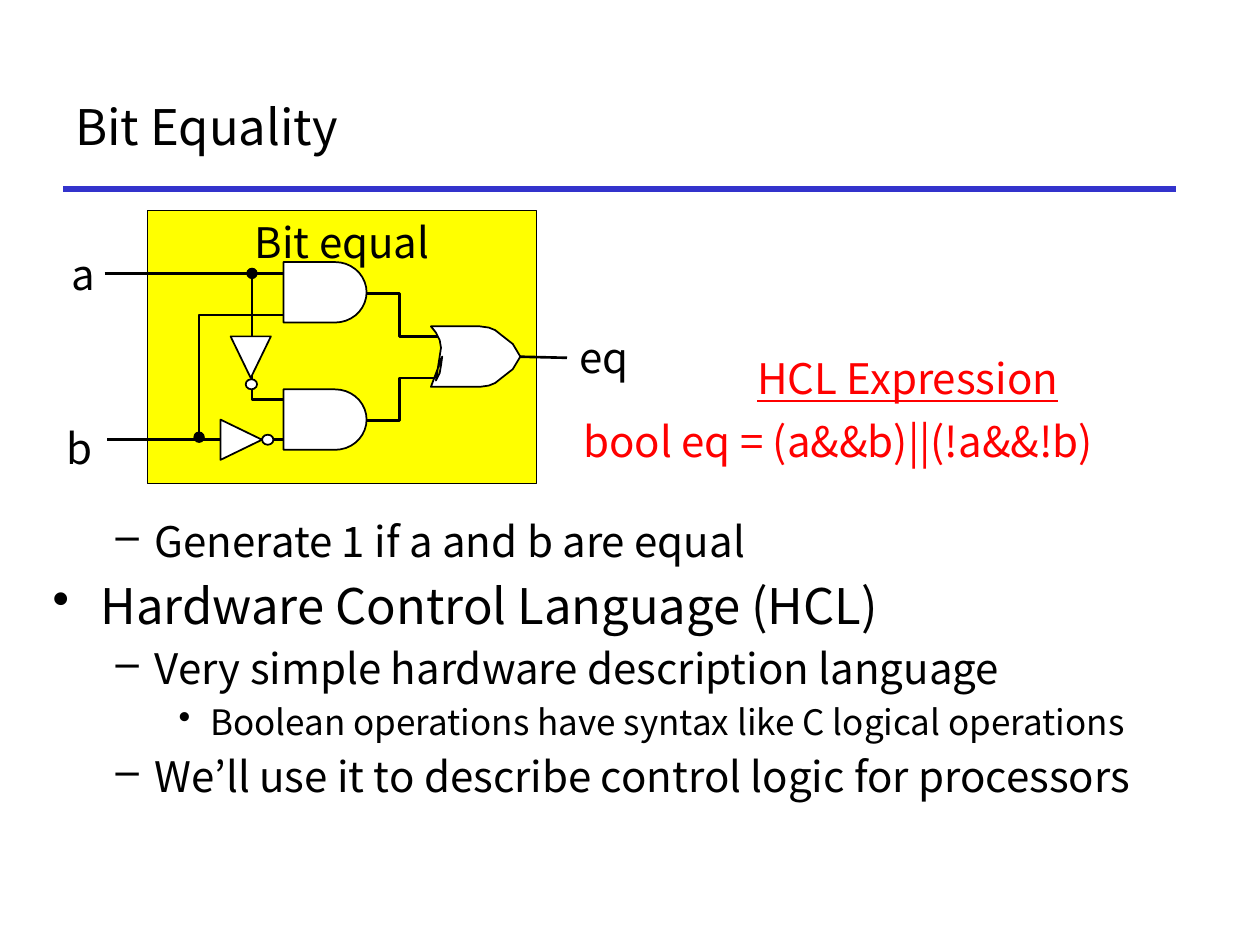
import math
from typing import Any, NamedTuple

import pptx
import pptx.dml.color
import pptx.enum.shapes
import pptx.enum.text
import pptx.oxml
import pptx.oxml.ns
import pptx.util

Inches = pptx.util.Inches
Pt = pptx.util.Pt
Shapes = pptx.enum.shapes.MSO_SHAPE
Align = pptx.enum.text.PP_ALIGN
Anchor = pptx.enum.text.MSO_ANCHOR
AutoSize = pptx.enum.text.MSO_AUTO_SIZE

FONT = "Noto Sans CJK KR"
BLACK, WHITE, YELLOW = "000000", "FFFFFF", "FFFF00"
RED, BLUE = "FF0000", "3333CC"
GATE_HEIGHT = 0.48

Point = tuple[float, float]


class Label(NamedTuple):
    text: str
    left: float
    top: float
    width: float
    color: str = BLACK
    align: Any = Align.LEFT
    inset: float = 0.1
    wrap: bool = False
    underline: bool = False


class Level(NamedTuple):
    margin: float
    hanging: float
    bullet: str
    size: int


class Circle(NamedTuple):
    left: float
    top: float
    width: float
    fill: str
    weight: float


LEVELS = [
    Level(0.38, 0.38, "•", 28),
    Level(0.81, 0.31, "–", 24),
    Level(1.25, 0.25, "•", 20),
]
BODY = [
    (1, "Generate 1 if a and b are equal"),
    (0, "Hardware Control Language (HCL)"),
    (1, "Very simple hardware description language"),
    (2, "Boolean operations have syntax like C logical operations"),
    (1, "We’ll use it to describe control logic for processors"),
]
LABELS = [
    Label("a", 0.47, 1.92, 0.38, align=Align.CENTER),
    Label("b", 0.42, 3.3, 0.41, align=Align.RIGHT),
    Label("eq", 4.5, 2.58, 0.66, wrap=True),
    Label("bool eq = (a&&b)||(!a&&!b)", 4.58, 3.25, 5.3, RED, inset=0.05, wrap=True),
    Label("HCL Expression", 5.96, 2.75, 2.56, RED, inset=0.05, underline=True),
]
WIRES: list[list[Point]] = [
    [(0.83, 2.17), (2.25, 2.17)],
    [(0.85, 3.49), (2.25, 3.49)],
    [(1.58, 3.5), (1.58, 2.5), (2.25, 2.5)],
    [(2, 2.17), (2, 3.17), (2.25, 3.17)],
    [(2.91, 2.33), (3.17, 2.33), (3.17, 2.67), (3.5, 2.67)],
    [(2.91, 3.34), (3.17, 3.34), (3.17, 3), (3.5, 3)],
    [(4.08, 2.83), (4.5, 2.84)],
]
INVERTERS: list[list[Point]] = [
    [(1.83, 2.67), (2.15, 2.67), (1.99, 3)],
    [(1.75, 3.33), (1.75, 3.65), (2.08, 3.49)],
]
CIRCLES = [
    Circle(1.95, 3.01, 0.09, WHITE, 1),
    Circle(2.08, 3.45, 0.09, WHITE, 1),
    Circle(1.96, 2.13, 0.08, BLACK, 0.75),
    Circle(1.54, 3.43, 0.08, BLACK, 0.75),
]
OR_NOSE: list[Point] = [(0, 0), (0.33, 0), (0.39, 0), (0.46, 0.01), (0.51, 0.03),
                        (0.56, 0.07), (0.65, 0.14), (0.71, 0.24)]
OR_BACK: list[Point] = [(0.04, 0.05), (0.07, 0.11), (0.08, 0.17), (0.09, 0.24)]


def rgb(color: str) -> Any:
    return pptx.dml.color.RGBColor.from_string(color)


def apply(target: Any, values: dict[str, Any]) -> None:
    for name, value in values.items():
        setattr(target, name, value)


def outline(shape: Any, weight: float, color: str = BLACK) -> None:
    shape.line.color.rgb = rgb(color)
    shape.line.width = Pt(weight)


def paint(shape: Any, fill: str, weight: float) -> None:
    shape.shadow.inherit = False
    shape.fill.solid()
    shape.fill.fore_color.rgb = rgb(fill)
    outline(shape, weight)


def write(paragraph: Any, text: str, size: int, color: str = BLACK, underline: bool = False) -> None:
    run = paragraph.add_run()
    run.text = text
    apply(run.font, {"name": FONT, "size": Pt(size), "underline": underline or None})
    run.font.color.rgb = rgb(color)


def straight(shapes: Any, start: Point, end: Point, weight: float, color: str = BLACK) -> None:
    ends = [Inches(value) for value in (*start, *end)]
    line = shapes.add_connector(pptx.enum.shapes.MSO_CONNECTOR.STRAIGHT, *ends)
    line._element.spPr.append(pptx.oxml.parse_xml(
        f"<a:effectLst {pptx.oxml.ns.nsdecls('a')}/>"))
    outline(line, weight, color)


def freeform(shapes: Any, points: list[Point], close: bool) -> Any:
    corners = [(Inches(x), Inches(y)) for x, y in points]
    builder = shapes.build_freeform(*corners[0], scale=1.0)
    builder.add_line_segments(corners[1:], close=close)
    return builder.convert_to_shape()


def wire(shapes: Any, points: list[Point]) -> None:
    if len(points) == 2:
        straight(shapes, points[0], points[1], 1.5)
        return
    bend = freeform(shapes, points, False)
    bend.shadow.inherit = False
    bend.fill.background()
    outline(bend, 1.5)


def gate(shapes: Any, left: float, top: float, profile: list[Point]) -> None:
    points = [(left + x, top + y) for x, y in profile]
    paint(freeform(shapes, points, True), WHITE, 1)


def mirrored(profile: list[Point]) -> list[Point]:
    return [(x, GATE_HEIGHT - y) for x, y in reversed(profile)]


def and_profile() -> list[Point]:
    radius = GATE_HEIGHT / 2
    angles = [math.radians(degrees) for degrees in range(-90, 91, 10)]
    arc = [(0.41 + 0.25 * math.cos(a), radius + radius * math.sin(a)) for a in angles]
    return [(0, 0), *arc, (0, GATE_HEIGHT)]


def or_profile() -> list[Point]:
    nose = OR_NOSE + mirrored(OR_NOSE[:-1])
    return nose + mirrored(OR_BACK) + OR_BACK[-2::-1]


def add_label(shapes: Any, label: Label) -> None:
    box = shapes.add_textbox(*map(Inches, (label.left, label.top, label.width, 0.51)))
    inset = Inches(label.inset)
    apply(box.text_frame, {"margin_left": inset, "margin_right": inset,
                           "word_wrap": label.wrap, "auto_size": AutoSize.SHAPE_TO_FIT_TEXT})
    paragraph = box.text_frame.paragraphs[0]
    paragraph.alignment = label.align
    write(paragraph, label.text, 24, label.color, label.underline)


def add_title(shapes: Any) -> None:
    frame = shapes.add_textbox(*map(Inches, (0.5, 0.5, 8.83, 1))).text_frame
    apply(frame, {"word_wrap": True, "vertical_anchor": Anchor.MIDDLE})
    write(frame.paragraphs[0], "Bit Equality", 28)


def add_body(shapes: Any) -> None:
    frame = shapes.add_textbox(*map(Inches, (0.32, 4.04, 9.08, 3.12))).text_frame
    frame.word_wrap = True
    for index, (depth, text) in enumerate(BODY):
        level = LEVELS[depth]
        paragraph = frame.add_paragraph() if index else frame.paragraphs[0]
        properties = paragraph._p.get_or_add_pPr()
        properties.set("marL", str(Inches(level.margin)))
        properties.set("indent", str(-Inches(level.hanging)))
        properties.append(pptx.oxml.parse_xml(
            f'<a:buChar {pptx.oxml.ns.nsdecls("a")} char="{level.bullet}"/>'))
        paragraph.level = depth
        if index:
            paragraph.space_before = Pt(0.2 * level.size)
        write(paragraph, text, level.size)


def add_circuit(shapes: Any) -> None:
    block = shapes.add_shape(Shapes.RECTANGLE, *map(Inches, (1.17, 1.67, 3.09, 2.17)))
    paint(block, YELLOW, 0.75)
    apply(block.text_frame, {"word_wrap": False, "vertical_anchor": Anchor.TOP})
    write(block.text_frame.paragraphs[0], "Bit equal", 24)
    for points in WIRES:
        wire(shapes, points)
    for top in (2.08, 3.09):
        gate(shapes, 2.25, top, and_profile())
    gate(shapes, 3.42, 2.59, or_profile())
    for triangle in INVERTERS:
        gate(shapes, 0, 0, triangle)
    for circle in CIRCLES:
        place = map(Inches, (circle.left, circle.top, circle.width, 0.08))
        paint(shapes.add_shape(Shapes.OVAL, *place), circle.fill, circle.weight)


def main() -> None:
    deck = pptx.Presentation()
    apply(deck, {"slide_width": Inches(10), "slide_height": Inches(7.5)})
    shapes = deck.slides.add_slide(deck.slide_layouts[6]).shapes
    straight(shapes, (0.5, 1.5), (9.33, 1.5), 3, BLUE)
    add_title(shapes)
    add_body(shapes)
    add_circuit(shapes)
    for label in LABELS:
        add_label(shapes, label)
    deck.save("out.pptx")


if __name__ == "__main__":
    main()
